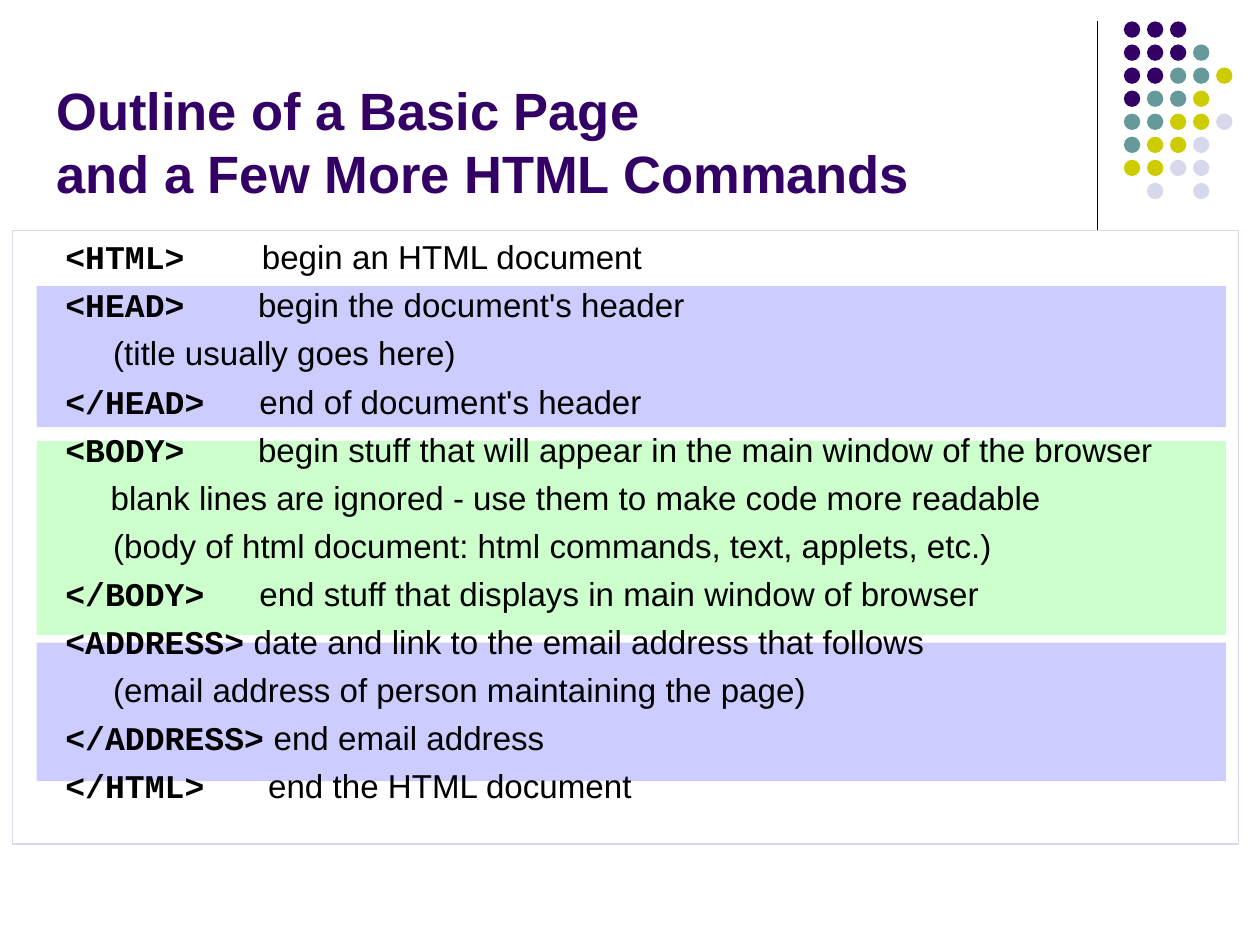
from lxml.etree import SubElement
from pptx import Presentation
from pptx.dml.color import RGBColor
from pptx.enum.shapes import MSO_CONNECTOR, MSO_SHAPE
from pptx.enum.text import MSO_ANCHOR
from pptx.oxml.ns import qn
from pptx.util import Inches, Pt

PLUM = RGBColor(0x33, 0x00, 0x66)
TEAL = RGBColor(0x66, 0x99, 0x99)
LIME = RGBColor(0xCC, 0xCC, 0x00)
MIST = RGBColor(0xD8, 0xD8, 0xEC)
BLUE = RGBColor(0xCC, 0xCC, 0xFF)
MINT = RGBColor(0xCC, 0xFF, 0xCC)
BLACK = RGBColor(0x00, 0x00, 0x00)

UNIT = Inches(0.1)
DOTS = ["PPP", "PPPT", "PPTTL", "PTTL", "TTLLM", "TLLM", "LLMM", " M M"]
HUES = {"P": PLUM, "T": TEAL, "L": LIME, "M": MIST}
BANDS = [(51, 11, BLUE), (35, 15.4, MINT), (22.7, 11.2, BLUE)]
TITLE = ["Outline of a Basic Page", "and a Few More HTML Commands"]
ROWS = [
    ("<HTML>", 15.6, "begin an HTML document"),
    ("<HEAD>", 15.3, "begin the document's header"),
    ("", 3.8, "(title usually goes here)"),
    ("</HEAD>", 15.4, "end of document's header"),
    ("<BODY>", 15.3, "begin stuff that will appear in the main window of the browser"),
    ("", 3.6, "blank lines are ignored - use them to make code more readable"),
    ("", 3.8, "(body of html document: html commands, text, applets, etc.)"),
    ("</BODY>", 15.4, "end stuff that displays in main window of browser"),
    ("<ADDRESS>", None, " date and link to the email address that follows"),
    ("", 3.8, "(email address of person maintaining the page)"),
    ("</ADDRESS>", None, " end email address"),
    ("</HTML>", 16.1, "end the HTML document"),
]


def grid(*cells):
    return [round(cell * UNIT) for cell in cells]


def write(para, text, font="Arial", size=18.9, color=BLACK, bold=False):
    run = para.add_run()
    run.text = text
    run.font.name = font
    run.font.size = Pt(size)
    run.font.bold = bold
    run.font.color.rgb = color


class Page:
    def __init__(self, deck):
        self.slide = deck.slides.add_slide(deck.slide_layouts[6])
        self.shapes = self.slide.shapes

    def shape(self, kind, spot, fill=None, edge=None):
        item = self.shapes.add_shape(kind, *grid(*spot))
        item.shadow.inherit = False
        if fill is None:
            item.fill.background()
        else:
            item.fill.solid()
            item.fill.fore_color.rgb = fill
        if edge is None:
            item.line.fill.background()
        else:
            item.line.color.rgb = edge
            item.line.width = Pt(1)

    def line(self, *ends):
        item = self.shapes.add_connector(MSO_CONNECTOR.STRAIGHT, *grid(*ends))
        item.line.color.rgb = BLACK
        item.line.width = Pt(0.75)
        SubElement(item._element.spPr, qn("a:effectLst"))

    def frame(self, *spot, anchor=MSO_ANCHOR.TOP):
        frame = self.shapes.add_textbox(*grid(*spot)).text_frame
        frame.word_wrap = True
        frame.vertical_anchor = anchor
        return frame

    def title(self, lines):
        para = self.frame(3.5, 4.2, 93.4, 12.5, anchor=MSO_ANCHOR.BOTTOM).paragraphs[0]
        para.line_spacing = Pt(36)
        for num, text in enumerate(lines):
            if num:
                para.add_line_break()
            write(para, text, size=30, color=PLUM, bold=True)

    def body(self, rows):
        frame = self.frame(4.2, 18.3, 93.1, 51.9)
        for num, (tag, stop, text) in enumerate(rows):
            para = frame.add_paragraph() if num else frame.paragraphs[0]
            if num:
                para.space_before = Pt(4.8)
            if stop:
                tabs = SubElement(para._p.get_or_add_pPr(), qn("a:tabLst"))
                SubElement(tabs, qn("a:tab"), pos=str(round(stop * UNIT)), algn="l")
                tag += "\t"
            write(para, tag, font="Courier New", bold=True)
            write(para, text)

    def dots(self, rows):
        for row, marks in enumerate(rows):
            for col, mark in enumerate(marks):
                if mark in HUES:
                    spot = (89.2 + 1.83 * col, 1.7 + 1.83 * row, 1.3, 1.3)
                    self.shape(MSO_SHAPE.OVAL, spot, HUES[mark])


def main():
    deck = Presentation()
    deck.slide_width, deck.slide_height = grid(100, 75)
    page = Page(deck)
    page.line(87.1, 1.7, 87.1, 18.3)
    page.dots(DOTS)
    for top, high, fill in BANDS:
        page.shape(MSO_SHAPE.RECTANGLE, (2.9, top, 94.4, high), fill)
    page.title(TITLE)
    page.body(ROWS)
    page.shape(MSO_SHAPE.RECTANGLE, (1, 18.3, 97.3, 48.7), edge=MIST)
    deck.save("out.pptx")


if __name__ == "__main__":
    main()
